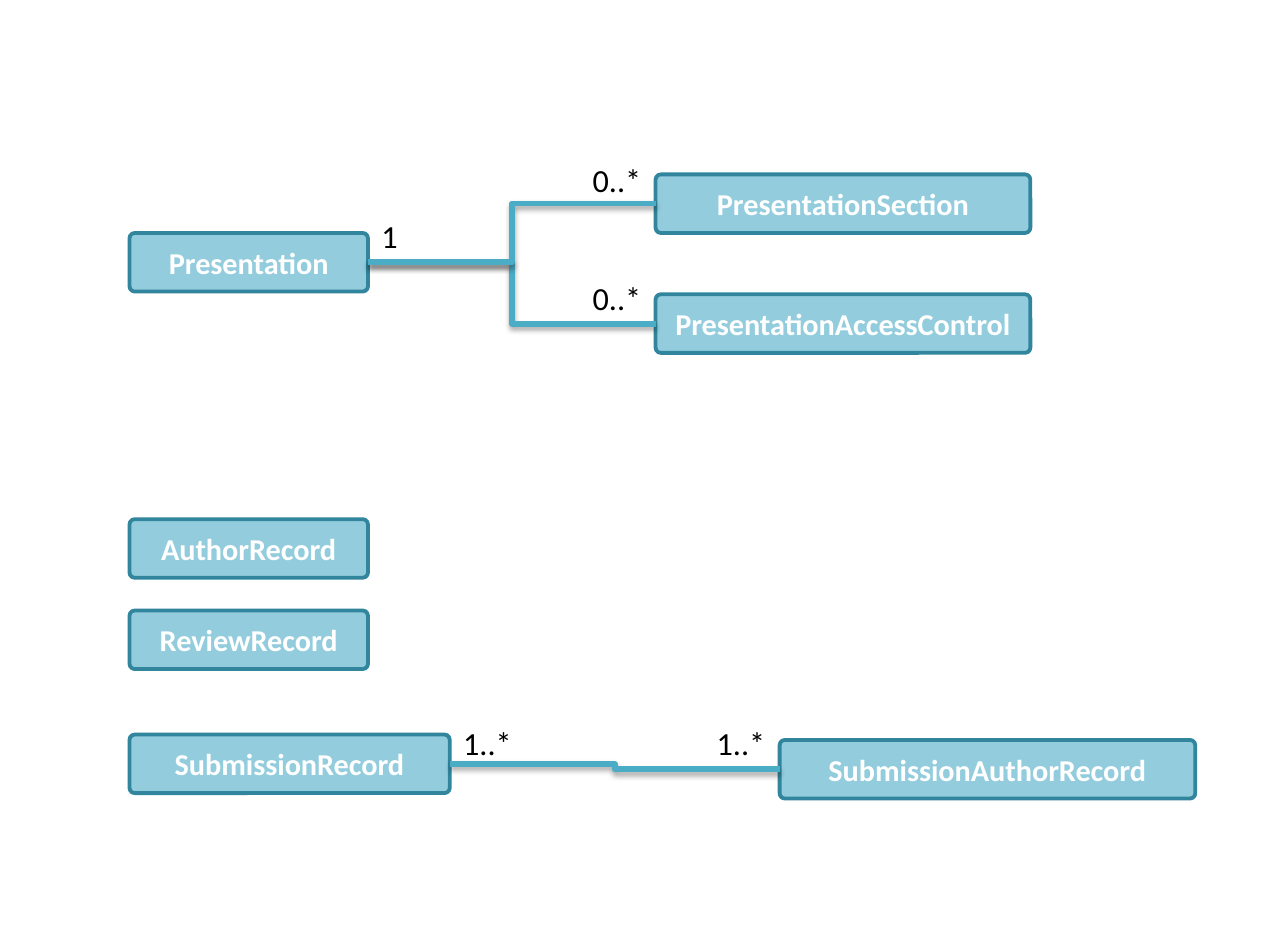
from lxml import etree
from pptx import Presentation, util as u
from pptx.dml.color import RGBColor
from pptx.enum import shapes, text
from pptx.oxml.ns import qn

COLORS = {"box": "93CDDD", "edge": "31859C", "link": "4BACC6",
          "box_text": "FFFFFF", "label": "000000"}
FONT = "Calibri"
CELL = u.Inches(0.1)
COLS, ROWS = 94.5, 68.9
BOX_ROWS, LABEL_ROWS = 4.3, 3.9
LEFT_COL, RIGHT_COL = 9.5, 48.1
LEFT_SITE, RIGHT_SITE = 1, 3


def grid(n):
    """Turn a number of grid cells into a length."""
    return u.Emu(round(n * CELL))


def color(name):
    """Look up a palette colour."""
    return RGBColor.from_string(COLORS[name])


def add_run(p, words, size, name, bold=False):
    """Add one formatted run to a paragraph."""
    r = p.add_run()
    r.text = words
    r.font.name, r.font.size, r.font.bold = FONT, u.Pt(size), bold
    r.font.color.rgb = color(name)


def add_box(s, name, col, row, cols):
    """Draw an entity box with its centred name."""
    sp = s.shapes.add_shape(shapes.MSO_SHAPE.ROUNDED_RECTANGLE, grid(col), grid(row),
                            grid(cols), grid(BOX_ROWS))
    sp.adjustments[0] = 0.09
    sp.shadow.inherit = False
    sp.fill.solid()
    sp.fill.fore_color.rgb = color("box")
    sp.line.color.rgb = color("edge")
    sp.line.width = u.Pt(2)
    tf = sp.text_frame
    tf.vertical_anchor = text.MSO_ANCHOR.MIDDLE
    p = tf.paragraphs[0]
    p.alignment = text.PP_ALIGN.CENTER
    add_run(p, name, 16, "box_text", True)
    return sp


def add_shadow(sp):
    """Give a connector a soft shadow below it."""
    effects = etree.SubElement(sp._element.spPr, qn("a:effectLst"))
    shadow = etree.SubElement(effects, qn("a:outerShdw"), blurRad=str(u.Pt(3.1)),
                              dist=str(u.Pt(1.8)), dir="5400000", rotWithShape="0")
    black = etree.SubElement(shadow, qn("a:srgbClr"), val="000000")
    etree.SubElement(black, qn("a:alpha"), val="35000")


def add_link(s, start, end):
    """Join the right side of one box to the left side of another."""
    sp = s.shapes.add_connector(shapes.MSO_CONNECTOR.ELBOW, 0, 0, 0, 0)
    sp.begin_connect(start, RIGHT_SITE)
    sp.end_connect(end, LEFT_SITE)
    sp.line.color.rgb = color("link")
    sp.line.width = u.Pt(3)
    add_shadow(sp)


def add_label(s, words, box, site, row):
    """Write a multiplicity beside the given side of a box."""
    width = grid(3.2 if len(words) == 1 else 5.6)
    left = box.left + box.width if site == RIGHT_SITE else box.left - width
    tf = s.shapes.add_textbox(left, grid(row), width, grid(LABEL_ROWS)).text_frame
    tf.word_wrap = False
    tf.auto_size = text.MSO_AUTO_SIZE.SHAPE_TO_FIT_TEXT
    add_run(tf.paragraphs[0], words, 17, "label")


def main():
    """Build the entity diagram."""
    prs = Presentation()
    prs.slide_width, prs.slide_height = grid(COLS), grid(ROWS)
    s = prs.slides.add_slide(prs.slide_layouts[6])

    section = add_box(s, "PresentationSection", RIGHT_COL, 12.8, 27.5)
    access = add_box(s, "PresentationAccessControl", RIGHT_COL, 21.6, 27.5)
    presentation = add_box(s, "Presentation", LEFT_COL, 17.1, 17.5)
    add_box(s, "AuthorRecord", LEFT_COL, 38.1, 17.5)
    add_box(s, "ReviewRecord", LEFT_COL, 44.8, 17.5)
    submission = add_box(s, "SubmissionRecord", LEFT_COL, 53.9, 23.5)
    author = add_box(s, "SubmissionAuthorRecord", 57.2, 54.3, 30.5)

    for start, end in ((presentation, access), (presentation, section),
                       (submission, author)):
        add_link(s, start, end)

    for words, box, site, row in (("1", presentation, RIGHT_SITE, 15.4),
                                  ("0..*", section, LEFT_SITE, 11.3),
                                  ("0..*", access, LEFT_SITE, 19.9),
                                  ("1..*", submission, RIGHT_SITE, 52.6),
                                  ("1..*", author, LEFT_SITE, 52.6)):
        add_label(s, words, box, site, row)

    prs.save("out.pptx")


if __name__ == "__main__":
    main()
